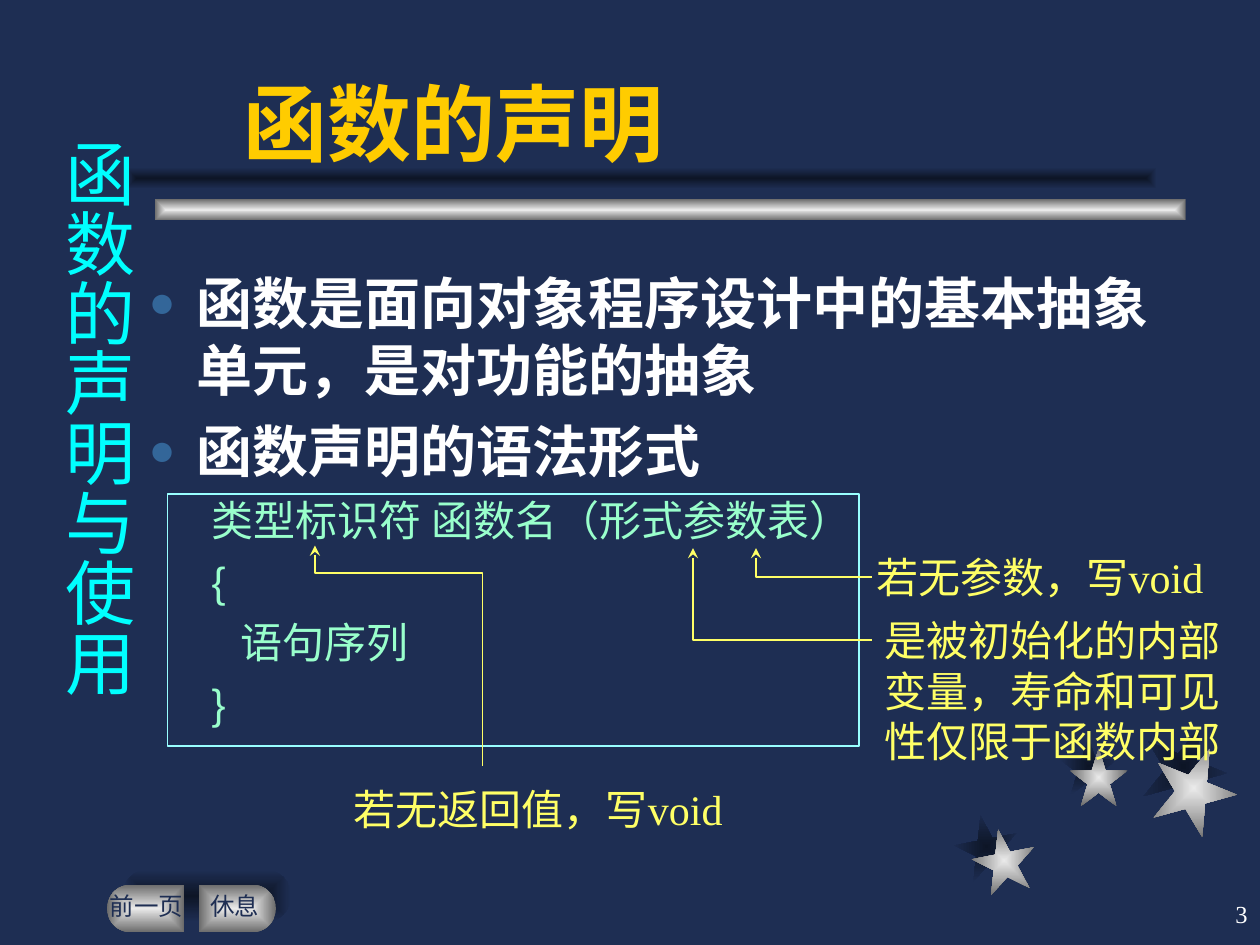
import math
from lxml import etree
from pptx import Presentation
from pptx.dml.color import RGBColor
from pptx.enum.shapes import MSO_SHAPE
from pptx.enum.text import MSO_ANCHOR, MSO_AUTO_SIZE, PP_ALIGN
from pptx.oxml.ns import qn
from pptx.util import Inches, Pt

STAR, BAR, PILL = MSO_SHAPE.STAR_5_POINT, MSO_SHAPE.RECTANGLE, MSO_SHAPE.ROUNDED_RECTANGLE
LEFT, CENTER, RIGHT = PP_ALIGN.LEFT, PP_ALIGN.CENTER, PP_ALIGN.RIGHT
TOP, MIDDLE, BOTTOM = MSO_ANCHOR.TOP, MSO_ANCHOR.MIDDLE, MSO_ANCHOR.BOTTOM
SERIF, SANS = "Times New Roman", "Arial"
COLORS = {"navy": "1E2E53", "shade": "0D1526", "silver": "EAEAEA", "steel": "6B6B6B",
          "gold": "FFCC00", "white": "FFFFFF", "bullet": "336699", "mint": "99FFCC",
          "cyan": "00FFFF", "frame": "99FFFF", "yellow": "FFFF66"}
DARK, METAL = ("shade", "navy"), ("silver", "steel")

TITLE = "函数的声明"
POINTS = ["函数是面向对象程序设计中的基本抽象单元，是对功能的抽象", "函数声明的语法形式"]
SYNTAX = [("类型标识符 函数名（形式参数表）", 0), ("{", 0), ("语句序列", 0.23), ("}", 0)]  # text, extra indent
SIDE_TITLE = "函数的声明与使用"
NOTES = [  # text, box, wraps
    ("若无参数，写void", (6.86, 4.33, 2.87, 0.5), False),
    ("是被初始化的内部变量，寿命和可见性仅限于函数内部", (6.92, 4.83, 3, 1.3), True),
    ("若无返回值，写void", (2.71, 6.17, 3.21, 0.5), False),
]
ARROWS = [  # arrowhead end first
    [(6, 4.35), (6, 4.58), (6.92, 4.58)],
    [(5.5, 4.35), (5.5, 5.08), (6.92, 5.08)],
    [(2.5, 4.33), (2.5, 4.55), (3.83, 4.55), (3.83, 6.08)],
]
DECOR = [  # preset, box, rotation, gradient
    (STAR, (7.58, 6.47, 0.5, 0.5), 349, DARK),
    (STAR, (8.41, 5.85, 0.46, 0.46), 0, DARK),
    (STAR, (9.06, 5.75, 0.67, 0.67), 22, DARK),
    (STAR, (7.72, 6.58, 0.5, 0.5), 349, METAL),
    (STAR, (8.49, 5.94, 0.46, 0.46), 0, METAL),
    (STAR, (9.14, 5.92, 0.67, 0.67), 22, METAL),
    (BAR, (1.23, 1.58, 8.18, 0.17), 0, METAL),
    (BAR, (1, 1.33, 8.18, 0.17), 0, DARK),
    (PILL, (0.97, 6.9, 1.34, 0.42), 0, DARK),
]
BUTTONS = [("前一页", 1.46, -1, 0.83), ("休息", 1.58, 1, 1.53)]  # label, flat edge, side, label left
BUTTON_TOP, BUTTON_RADIUS, BUTTON_FLAT = 7.02, 0.19, 0.42


def rgb(name):
    return RGBColor.from_string(COLORS[name])


def inches(values):
    return [Inches(value) for value in values]


def fill_from_centre(shape, gradient):
    shape.shadow.inherit = False
    shape.line.fill.background()
    shape.fill.gradient()
    for stop, position, name in zip(shape.fill.gradient_stops, (0, 1), gradient):
        stop.position = position
        stop.color.rgb = rgb(name)
    grad_fill = shape._element.spPr.find(qn("a:gradFill"))
    grad_fill.remove(grad_fill.find(qn("a:lin")))
    path = etree.SubElement(grad_fill, qn("a:path"), path="rect")
    etree.SubElement(path, qn("a:fillToRect"), l="50000", t="50000", r="50000", b="50000")


def add_outline(slide, points, close):
    points = [inches(point) for point in points]
    builder = slide.shapes.build_freeform(*points[0], scale=1.0)
    builder.add_line_segments(points[1:], close=close)
    shape = builder.convert_to_shape()
    shape.shadow.inherit = False
    return shape


def outline_only(shape, color):
    shape.shadow.inherit = False
    shape.fill.background()
    shape.line.color.rgb = rgb(color)
    shape.line.width = Pt(1)


def style(paragraph, size, color, font=SERIF, bold=False, align=LEFT):
    paragraph.alignment = align
    paragraph.font.size = Pt(size)
    paragraph.font.name = font
    paragraph.font.bold = bold
    paragraph.font.color.rgb = rgb(color)


def set_frame(frame, insets=(0.1, 0.05, 0.1, 0.05), anchor=TOP, wrap=True):
    frame.auto_size = MSO_AUTO_SIZE.NONE
    frame.word_wrap = wrap
    frame.vertical_anchor = anchor
    (frame.margin_left, frame.margin_top,
     frame.margin_right, frame.margin_bottom) = inches(insets)


def add_text(slide, text, box, size, color, align=LEFT, **frame_options):
    frame = slide.shapes.add_textbox(*inches(box)).text_frame
    set_frame(frame, **frame_options)
    frame.text = text
    style(frame.paragraphs[0], size, color, align=align)
    return frame


def place(placeholder, box):
    (placeholder.left, placeholder.top,
     placeholder.width, placeholder.height) = inches(box)
    return placeholder.text_frame


def set_indent(paragraph, margin, first_line):
    properties = paragraph._p.get_or_add_pPr()
    properties.set("marL", str(Inches(margin)))
    properties.set("indent", str(Inches(first_line)))
    return properties


def add_decor(slide):
    for preset, box, rotation, gradient in DECOR:
        shape = slide.shapes.add_shape(preset, *inches(box))
        shape.rotation = rotation
        if preset == PILL:
            shape.adjustments[0] = 0.5
        fill_from_centre(shape, gradient)
    for label, edge, side, label_left in BUTTONS:
        angles = [math.radians(angle) for angle in range(-90, 91, 10)]
        curve = [(edge + side * (BUTTON_FLAT + BUTTON_RADIUS * math.cos(angle)),
                  BUTTON_TOP + BUTTON_RADIUS * (1 + math.sin(angle))) for angle in angles]
        corners = [(edge, BUTTON_TOP + 2 * BUTTON_RADIUS), (edge, BUTTON_TOP)]
        fill_from_centre(add_outline(slide, curve + corners, True), METAL)
        add_text(slide, label, (label_left, 7.07, 0.67, 0.23), 14, "navy", CENTER,
                 insets=(0, 0, 0, 0), anchor=MIDDLE, wrap=False)


def add_body(frame):
    set_frame(frame)
    frame.text = "\n".join(POINTS + [text for text, _ in SYNTAX])
    paragraphs = frame.paragraphs
    for paragraph in paragraphs[:len(POINTS)]:
        paragraph.space_before = Pt(8)
        properties = set_indent(paragraph, 0.38, -0.38)
        color = etree.SubElement(properties, qn("a:buClr"))
        etree.SubElement(color, qn("a:srgbClr"), val=COLORS["bullet"])
        etree.SubElement(properties, qn("a:buSzPct"), val="80000")
        etree.SubElement(properties, qn("a:buChar"), char="●")
        style(paragraph, 32, "white", SANS, bold=True)
    for paragraph, (_, extra) in zip(paragraphs[len(POINTS):], SYNTAX):
        paragraph.level = 1
        paragraph.space_before = Pt(6)
        properties = set_indent(paragraph, 0.81 + extra, -0.31)
        etree.SubElement(properties, qn("a:buNone"))
        style(paragraph, 24, "mint", SANS)


def main():
    presentation = Presentation()
    presentation.slide_width, presentation.slide_height = inches((10, 7.5))
    slide = presentation.slides.add_slide(presentation.slide_layouts[1])
    slide.background.fill.solid()
    slide.background.fill.fore_color.rgb = rgb("navy")
    add_decor(slide)

    title = place(slide.shapes.title, (1.83, 0.25, 7.42, 1.17))
    set_frame(title, anchor=BOTTOM)
    title.text = TITLE
    style(title.paragraphs[0], 48, "gold", SANS, bold=True)
    add_body(place(slide.placeholders[1], (1.08, 2.08, 8.42, 4.67)))

    side = add_text(slide, SIDE_TITLE, (0.3, 1, 0.86, 5.42), 40, "cyan",
                    insets=(0.05, 0.1, 0.05, 0.1))
    side.paragraphs[0].space_before = Pt(25)
    side._txBody.bodyPr.set("vert", "eaVert")

    outline_only(slide.shapes.add_shape(BAR, *inches((1.33, 3.92, 5.49, 2))), "frame")
    for points in ARROWS:
        arrow = add_outline(slide, points, False)
        outline_only(arrow, "yellow")
        etree.SubElement(arrow.line._get_or_add_ln(), qn("a:headEnd"), type="stealth")
    for text, box, wrap in NOTES:
        add_text(slide, text, box, 24, "yellow", wrap=wrap)
    add_text(slide, "3", (7.92, 7, 2.08, 0.5), 14, "white", RIGHT, anchor=MIDDLE)
    presentation.save("out.pptx")


if __name__ == "__main__":
    main()
